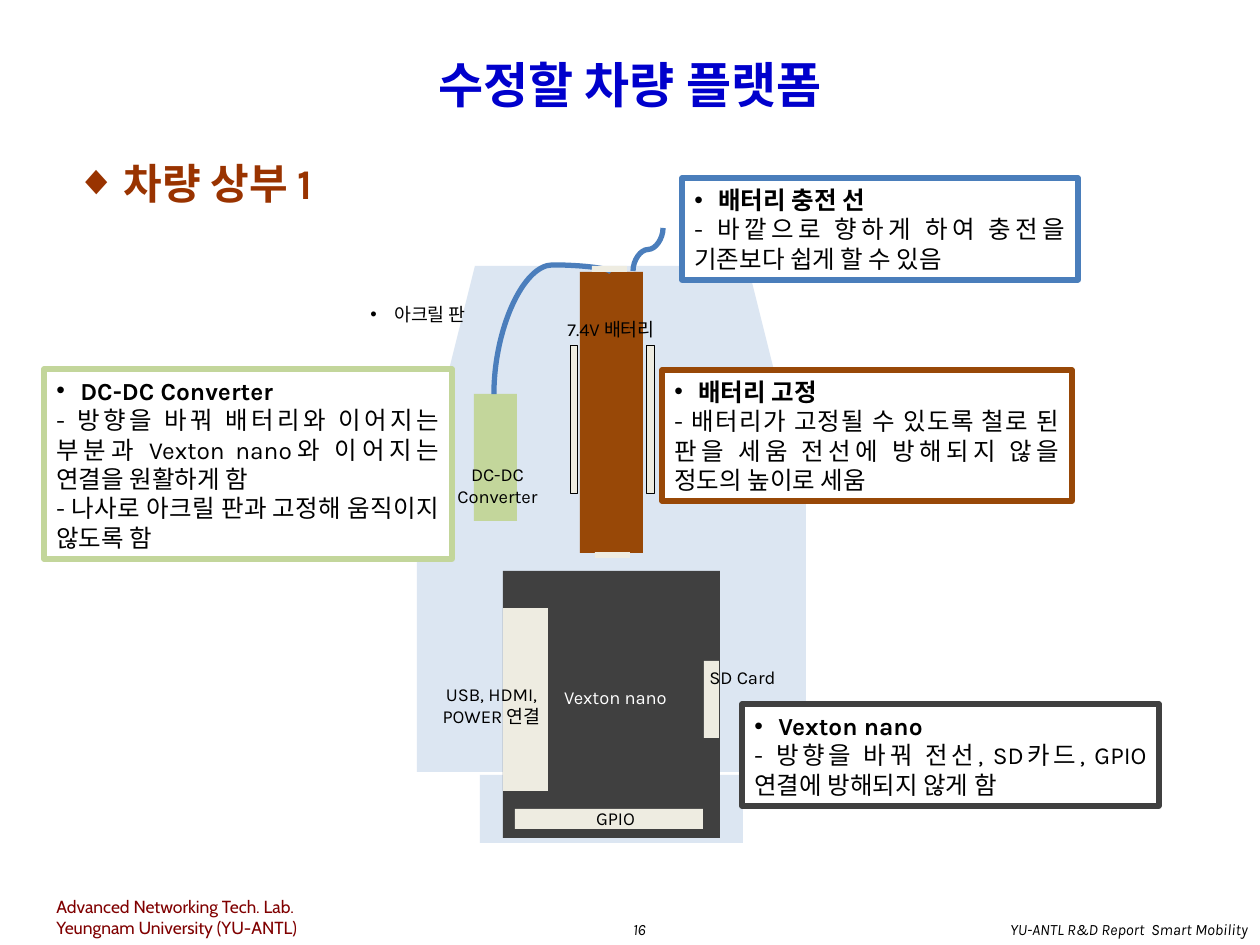
import pptx
import pptx.util
import pptx.dml.color
import pptx.enum.shapes
import pptx.enum.text
from lxml import etree
from pptx.oxml.ns import qn

RGB = pptx.dml.color.RGBColor
SHAPE = pptx.enum.shapes.MSO_SHAPE
ALIGN = pptx.enum.text.PP_ALIGN
ANCHOR = pptx.enum.text.MSO_ANCHOR

BLACK = RGB(0, 0, 0)
WHITE = RGB(0xFF, 0xFF, 0xFF)
TITLE_BLUE = RGB(0, 0, 0xCC)
HEADING_RED = RGB(0x99, 0x33, 0)
FOOTER_RED = RGB(0x80, 0, 0)
ACRYLIC = RGB(0xDC, 0xE6, 0xF2)
BATTERY = RGB(0x98, 0x48, 0x07)
BOARD = RGB(0x40, 0x40, 0x40)
CONVERTER = RGB(0xC3, 0xD6, 0x9B)
PORT = RGB(0xEE, 0xEC, 0xE1)
WIRE = RGB(0x4B, 0x7E, 0xBC)
CHARGE_BORDER = RGB(0x4A, 0x7E, 0xBB)

EMU_PER_PX = 914400 / 126


def px(length):
    return pptx.util.Emu(round(length * EMU_PER_PX))


def set_bullet(paragraph, char, indent):
    """Give the paragraph a hanging bullet, indent in px."""
    properties = paragraph._p.get_or_add_pPr()
    properties.set("marL", str(px(indent)))
    properties.set("indent", str(-px(indent)))
    etree.SubElement(properties, qn("a:buFont"), typeface="Arial")
    etree.SubElement(properties, qn("a:buChar"), char=char)


class Sketch:
    """Draws on one slide in px with a shared text style."""

    font = "Karla"
    label_size = 10.5
    callout_size = 14
    line_width = 3
    bullet_indent = 24

    def __init__(self, slide):
        self.slide = slide
        self.shapes = slide.shapes

    def style(self, paragraph, size, color, bold=False, italic=False, font=None):
        paragraph.font.name = font or self.font
        paragraph.font.size = pptx.util.Pt(size)
        paragraph.font.color.rgb = color
        paragraph.font.bold = bold
        paragraph.font.italic = italic

    def placeholder(self, index, box, text, size, color, bullet=None):
        holder = self.slide.placeholders[index]
        holder.left, holder.top, holder.width, holder.height = map(px, box)
        holder.text_frame.text = text
        paragraph = holder.text_frame.paragraphs[0]
        paragraph.space_before = pptx.util.Pt(0)
        if bullet:
            set_bullet(paragraph, bullet, 48)
        self.style(paragraph, size, color, bold=True)
        return holder

    def block(self, box, fill, line=None, width=0.5, kind=SHAPE.RECTANGLE):
        shape = self.shapes.add_shape(kind, *map(px, box))
        shape.shadow.inherit = False
        shape.fill.solid()
        shape.fill.fore_color.rgb = fill
        if line is None:
            shape.line.fill.background()
        else:
            shape.line.color.rgb = line
            shape.line.width = pptx.util.Pt(width)
        return shape

    def text(self, box, lines, size=label_size, color=BLACK, align=ALIGN.CENTER,
             bullet=None, wrap=True, **look):
        frame = self.shapes.add_textbox(*map(px, box)).text_frame
        frame.word_wrap = wrap
        frame.text = lines
        for paragraph in frame.paragraphs:
            paragraph.alignment = align
            if bullet:
                set_bullet(paragraph, bullet, self.bullet_indent)
            self.style(paragraph, size, color, **look)

    def callout(self, box, border, heading, *notes):
        frame = self.block(box, WHITE, border, self.line_width).text_frame
        frame.word_wrap = True
        frame.vertical_anchor = ANCHOR.MIDDLE
        frame.text = "\n".join((heading,) + notes)
        set_bullet(frame.paragraphs[0], "•", self.bullet_indent)
        for number, paragraph in enumerate(frame.paragraphs):
            paragraph.alignment = ALIGN.JUSTIFY
            self.style(paragraph, self.callout_size, BLACK, bold=number == 0)

    def wire(self, start, end, turn, bend=50000):
        """Curve that leaves and arrives vertically: a connector turned by a right angle."""
        middle_x, middle_y = (start[0] + end[0]) / 2, (start[1] + end[1]) / 2
        half_w, half_h = abs(end[1] - start[1]) / 2, abs(end[0] - start[0]) / 2
        curve = self.shapes.add_connector(
            pptx.enum.shapes.MSO_CONNECTOR.CURVE,
            px(middle_x + half_w), px(middle_y + half_h),
            px(middle_x - half_w), px(middle_y - half_h))
        curve.line.color.rgb = WIRE
        curve.line.width = pptx.util.Pt(self.line_width)
        properties = curve._element.spPr
        properties.find(qn("a:xfrm")).set("rot", str(turn * 60000))
        guides = properties.find(qn("a:prstGeom")).get_or_add_avLst()
        etree.SubElement(guides, qn("a:gd"), name="adj1", fmla=f"val {bend}")
        etree.SubElement(properties, qn("a:effectLst"))


def main():
    deck = pptx.Presentation()
    deck.slide_width, deck.slide_height = px(1260), px(945)
    sketch = Sketch(deck.slides.add_slide(deck.slide_layouts[1]))

    title = sketch.placeholder(0, (63, 38, 1134, 91), "수정할 차량 플랫폼", 28, TITLE_BLUE)
    title.text_frame.vertical_anchor = ANCHOR.MIDDLE
    title.text_frame.paragraphs[0].alignment = ALIGN.CENTER
    sketch.placeholder(1, (63, 151, 1134, 692), "차량 상부 1", 24, HEADING_RED, "◆")

    sketch.text((44, 890, 270, 55),
                "Advanced Networking Tech. Lab.\nYeungnam University (YU-ANTL)",
                10, FOOTER_RED, ALIGN.LEFT, font="Cabin")
    sketch.text((615, 914, 49, 31), "16", 9, wrap=False, italic=True)
    sketch.text((830, 914, 430, 31), "YU-ANTL R&D Report  Smart Mobility",
                9, align=ALIGN.RIGHT, italic=True)

    # Vehicle plate and the main components on it
    sketch.block((417, 495, 389, 277), ACRYLIC)
    sketch.block((417, 266, 389, 232), ACRYLIC, kind=SHAPE.TRAPEZOID)
    sketch.block((480, 775, 263, 68), ACRYLIC)
    sketch.block((580, 272, 63, 281), BATTERY)
    sketch.block((503, 571, 217, 267), BOARD)
    sketch.block((474, 394, 43, 127), CONVERTER)
    sketch.wire((611, 272), (494, 394), 270, -5900)
    sketch.wire((633, 271), (663, 228), 90)

    sketch.text((533, 312, 156, 35), "7.4V 배터리")
    sketch.text((433, 457, 129, 57), "DC-DC Converter")
    sketch.text((538, 680, 155, 35), "Vexton nano", color=WHITE)

    sketch.callout((682, 178, 396, 102), CHARGE_BORDER, "배터리 충전 선",
                   "- 바깥으로 향하게 하여 충전을 기존보다 쉽게 할 수 있음")
    sketch.callout((44, 369, 408, 190), CONVERTER, "DC-DC Converter",
                   "- 방향을 바꿔 배터리와 이어지는 부분과 Vexton nano와 이어지는 연결을 원활하게 함",
                   "- 나사로 아크릴 판과 고정해 움직이지 않도록 함")

    for plate_left in (570, 646):
        sketch.block((plate_left, 345, 8, 149), PORT, BLACK)
    terminals = [(595, 552, 35, 6), (592, 266, 35, 6)]
    board_ports = [(515, 809, 188, 20), (704, 661, 15, 77), (503, 608, 45, 183)]
    for port in terminals + board_ports:
        sketch.block(port, PORT)

    sketch.callout((662, 370, 410, 131), BATTERY, "배터리 고정",
                   "- 배터리가 고정될 수 있도록 철로 된 판을 세움 전선에 방해되지 않을 정도의 높이로 세움")
    sketch.callout((742, 704, 417, 102), BOARD, "Vexton nano",
                   "- 방향을 바꿔 전선, SD카드, GPIO 연결에 방해되지 않게 함")

    sketch.text((404, 677, 175, 57), "USB, HDMI, POWER 연결")
    sketch.text((528, 801, 175, 35), "GPIO")
    sketch.text((655, 660, 175, 35), "SD Card")
    sketch.text((335, 297, 166, 35), "아크릴 판", bullet="•")

    deck.save("out.pptx")


if __name__ == "__main__":
    main()
